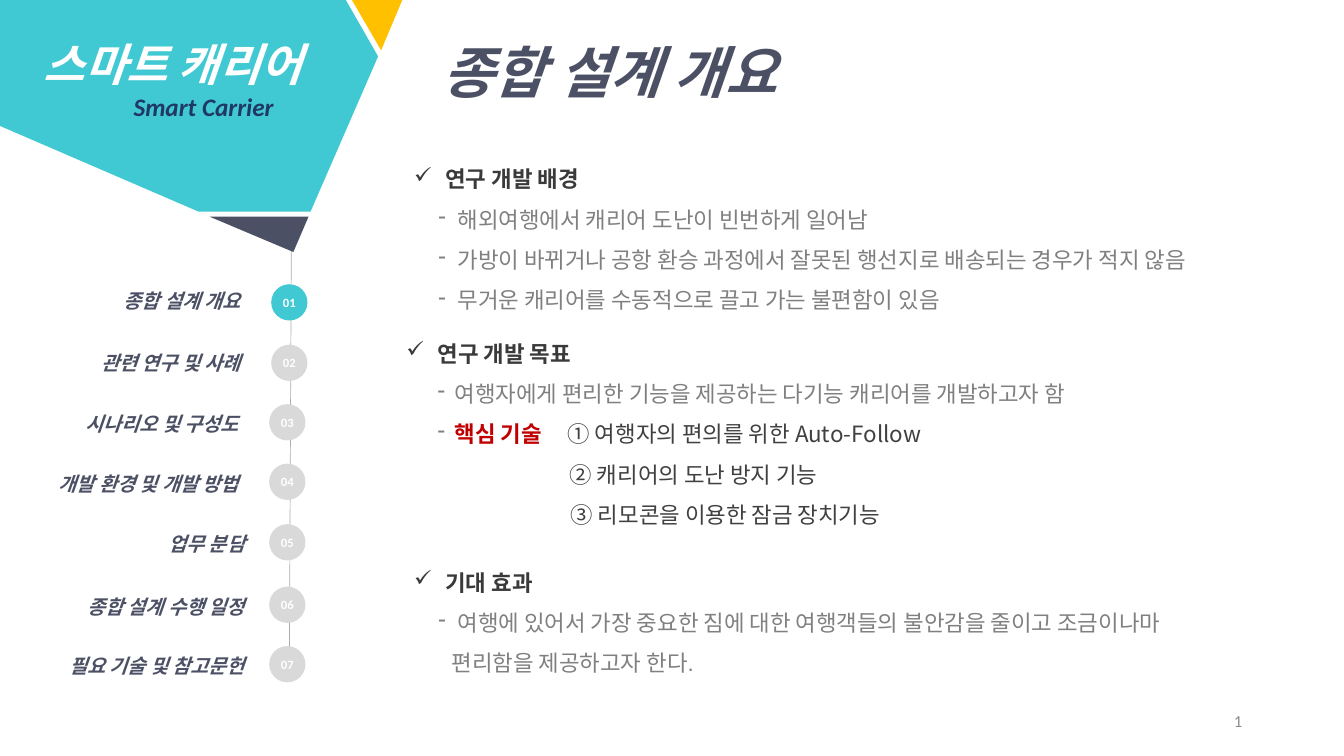
from lxml.etree import SubElement as Sub
from pptx import Presentation
from pptx.dml.color import RGBColor as RGB
from pptx.enum.shapes import MSO_CONNECTOR as LINE, MSO_SHAPE as SHAPE
from pptx.enum.text import MSO_ANCHOR as ANCHOR, MSO_AUTO_SIZE as AUTO, PP_ALIGN as ALIGN
from pptx.oxml.ns import qn
from pptx.util import Inches, Pt

HUES = {
    "teal": "41C9D3", "gold": "FFC000", "slate": "4C5064", "navy": "203864",
    "white": "FFFFFF", "dot": "D9D9D9", "rail": "AFABAB", "head": "3A3A3A",
    "gray": "808080", "red": "C00000", "dark": "404040", "page": "8C8C8C",
}
NOTO = "Noto Sans CJK KR"
TABS = [
    ("종합 설계 개요", 2.69, 2.82, 0.08, 2.82),
    ("관련 연구 및 사례", 2.69, 3.42, 0.08, 3.43),
    ("시나리오 및 구성도", 2.67, 4.01, 0.06, 4.04),
    ("개발 환경 및 개발 방법", 2.67, 4.6, 0.06, 4.63),
    ("업무 분담", 2.67, 5.2, 0.12, 5.23),
    ("종합 설계 수행 일정", 2.67, 5.82, 0.12, 5.85),
    ("필요 기술 및 참고문헌", 2.67, 6.41, 0.12, 6.44),
]
WEDGES = [
    ("gold", [(3.49, 0), (4.01, 0), (3.99, 0), (3.78, 0.5)]),
    ("teal", [(0, 0), (3.43, 0), (3.75, 0.56), (3.08, 2.1), (1.97, 2.1), (0, 1.25)]),
    ("slate", [(2.08, 2.15), (3.06, 2.15), (2.91, 2.5)]),
]


def color(name):
    return RGB.from_string(HUES[name])


def style(font, size, face, hue, bold=False, italic=False):
    font.size, font.name = Pt(size), face
    font.bold, font.italic = bold, italic
    font.color.rgb = color(hue)


def paint(shape, hue):
    shape.shadow.inherit = False
    shape.fill.solid()
    shape.fill.fore_color.rgb = color(hue)
    shape.line.fill.background()


def add_wedge(slide, hue, points):
    spots = [(Inches(x), Inches(y)) for x, y in points]
    pen = slide.shapes.build_freeform(*spots[0])
    pen.add_line_segments(spots[1:], close=True)
    paint(pen.convert_to_shape(), hue)


def add_rail(slide):
    rail = slide.shapes.add_connector(
        LINE.STRAIGHT, Inches(2.89), Inches(2.29), Inches(2.87), Inches(6.75))
    rail.line.color.rgb = color("rail")
    rail.line.width = Pt(0.5)
    Sub(rail._element.spPr, qn("a:effectLst"))


def add_frame(slide, left, top, width, height):
    box = slide.shapes.add_textbox(Inches(left), Inches(top), Inches(width), Inches(height))
    frame = box.text_frame
    frame.word_wrap = True
    frame.auto_size = AUTO.SHAPE_TO_FIT_TEXT
    return frame


def add_para(frame, text, *look, align=None, left=0, hang=0, mark=None, tab=None,
             lines=None, before=None):
    para = frame.paragraphs[0]
    if para.runs:
        para = frame.add_paragraph()
    para.text = text
    para.alignment = align
    para.line_spacing = lines
    if before:
        para.space_before = Pt(before)
    props = para._p.get_or_add_pPr()
    props.set("marL", str(Inches(left)))
    props.set("indent", str(Inches(-hang)))
    if mark:
        Sub(props, qn("a:buChar"), char=mark)
    else:
        Sub(props, qn("a:buNone"))
    if tab:
        stops = Sub(props, qn("a:tabLst"))
        Sub(stops, qn("a:tab"), pos=str(Inches(tab)), algn="l")
    if look:
        style(para.font, *look)
    return para


def add_label(slide, place, text, *look, align=None):
    frame = add_frame(slide, *place)
    add_para(frame, text, *look, align=align)
    return frame


def add_dot(slide, left, top, num):
    dot = slide.shapes.add_shape(
        SHAPE.OVAL, Inches(left), Inches(top), Inches(0.36), Inches(0.36))
    paint(dot, "teal" if num == 1 else "dot")
    frame = dot.text_frame
    frame.margin_left = frame.margin_right = frame.margin_top = frame.margin_bottom = 0
    frame.vertical_anchor = ANCHOR.MIDDLE
    add_para(frame, f"{num:02d}", 9, "Calibri", "white", True, align=ALIGN.CENTER)


def add_topic(slide, top, height, head, items, tail=None):
    frame = add_frame(slide, 4.01, top, 8.91, height)
    add_para(frame, head, 16, "Arial", "head", True,
             left=0.31, hang=0.31, mark="✓", lines=1.5)
    body = (16, "Arial", "gray")
    for item in items:
        add_para(frame, item, *body, left=0.43, hang=0.19, mark="-", lines=1.5)
    if tail:
        add_para(frame, tail, *body, left=0.37, lines=1.5)


def add_goals(slide):
    frame = add_frame(slide, 4.01, 3.36, 8.44, 1.92)
    frame.margin_left = frame.margin_right = frame.margin_bottom = 0
    frame.margin_top = Inches(0.01)
    add_para(frame, "연구 개발 목표", 16, NOTO, "head", True, left=0.33, hang=0.31, mark="✓")
    dash = {"left": 0.5, "hang": 0.17, "mark": "-", "before": 9.6}
    add_para(frame, "여행자에게 편리한 기능을 제공하는 다기능 캐리어를 개발하고자 함",
             16, NOTO, "gray", **dash)
    core = add_para(frame, "", tab=1.62, **dash)
    for text, hue, bold in (("핵심 기술\t", "red", True),
                            ("① 여행자의 편의를 위한 Auto-Follow", "dark", False)):
        run = core.add_run()
        run.text = text
        style(run.font, 16, NOTO, hue, bold)
    props = core._p.pPr
    tint = props.makeelement(qn("a:buClr"), {})
    Sub(tint, qn("a:srgbClr"), val=HUES["gray"])
    props.find(qn("a:buChar")).addprevious(tint)
    for text, left in (("② 캐리어의 도난 방지 기능", 1.64),
                       ("③ 리모콘을 이용한 잠금 장치기능", 1.65)):
        add_para(frame, text, 16, NOTO, "dark", left=left, before=9.6)


def main():
    deck = Presentation()
    deck.slide_width, deck.slide_height = Inches(13.33), Inches(7.5)
    slide = deck.slides.add_slide(deck.slide_layouts[6])
    add_rail(slide)
    for hue, points in WEDGES:
        add_wedge(slide, hue, points)
    brand = add_label(slide, (-0.02, 0.32, 3.47, 0.94), "스마트 캐리어",
                      32, "Calibri", "white", True, True, align=ALIGN.CENTER)
    add_para(brand, "Smart Carrier", 18, "Calibri", "navy", True, True,
             align=ALIGN.CENTER, left=0.61)
    add_label(slide, (4.29, 0.32, 7.51, 0.77), "종합 설계 개요",
              40, "Calibri", "slate", True, True)
    for num, (text, dot_x, dot_y, left, top) in enumerate(TABS, 1):
        add_dot(slide, dot_x, dot_y, num)
        add_label(slide, (left, top, 2.41, 0.34), text,
                  14, "Arial", "slate", True, True, align=ALIGN.RIGHT)
    add_topic(slide, 1.46, 1.72, "연구 개발 배경", [
        "해외여행에서 캐리어 도난이 빈번하게 일어남",
        "가방이 바뀌거나 공항 환승 과정에서 잘못된 행선지로 배송되는 경우가 적지 않음",
        "무거운 캐리어를 수동적으로 끌고 가는 불편함이 있음",
    ])
    add_topic(slide, 5.46, 1.31, "기대 효과", [
        "여행에 있어서 가장 중요한 짐에 대한 여행객들의 불안감을 줄이고 조금이나마",
    ], "편리함을 제공하고자 한다.")
    add_goals(slide)
    page = add_label(slide, (9.42, 6.95, 3, 0.4), "1", 12, "Calibri", "page", align=ALIGN.RIGHT)
    page.auto_size = AUTO.NONE
    page.vertical_anchor = ANCHOR.MIDDLE
    deck.save("out.pptx")


if __name__ == "__main__":
    main()
